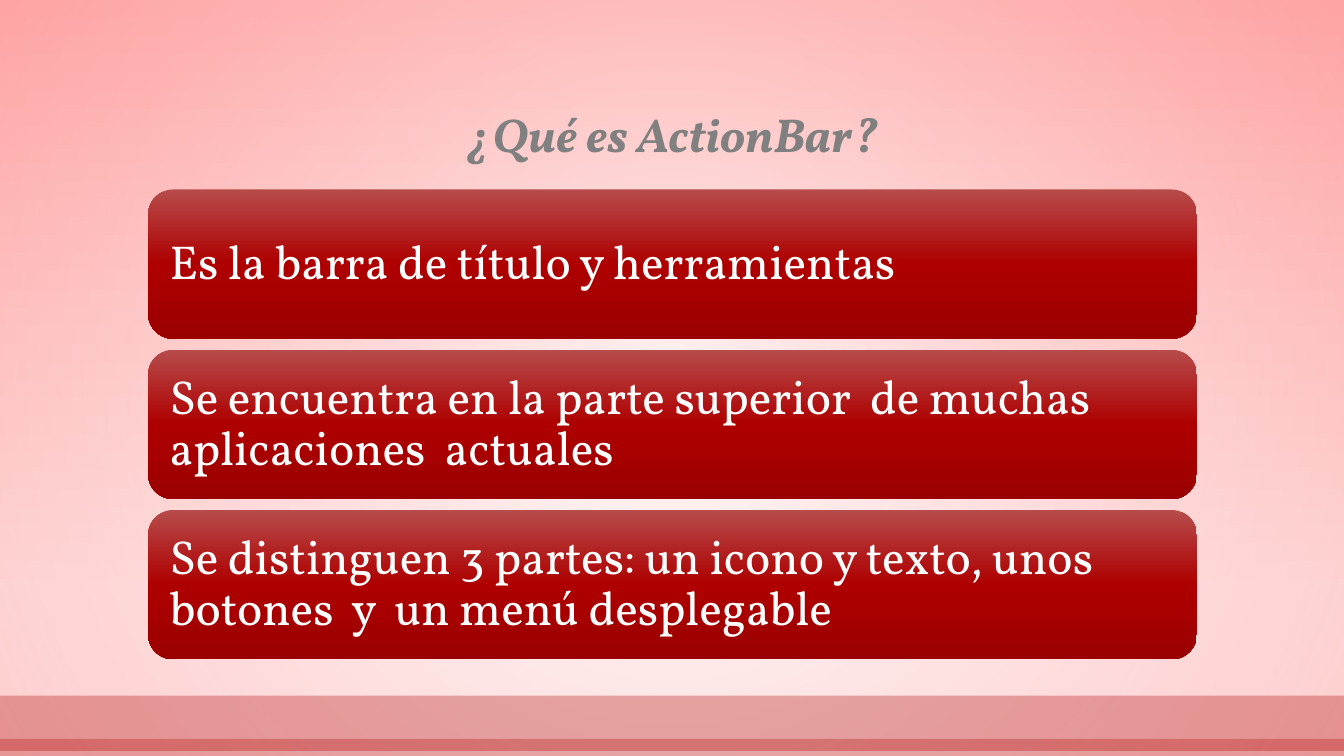
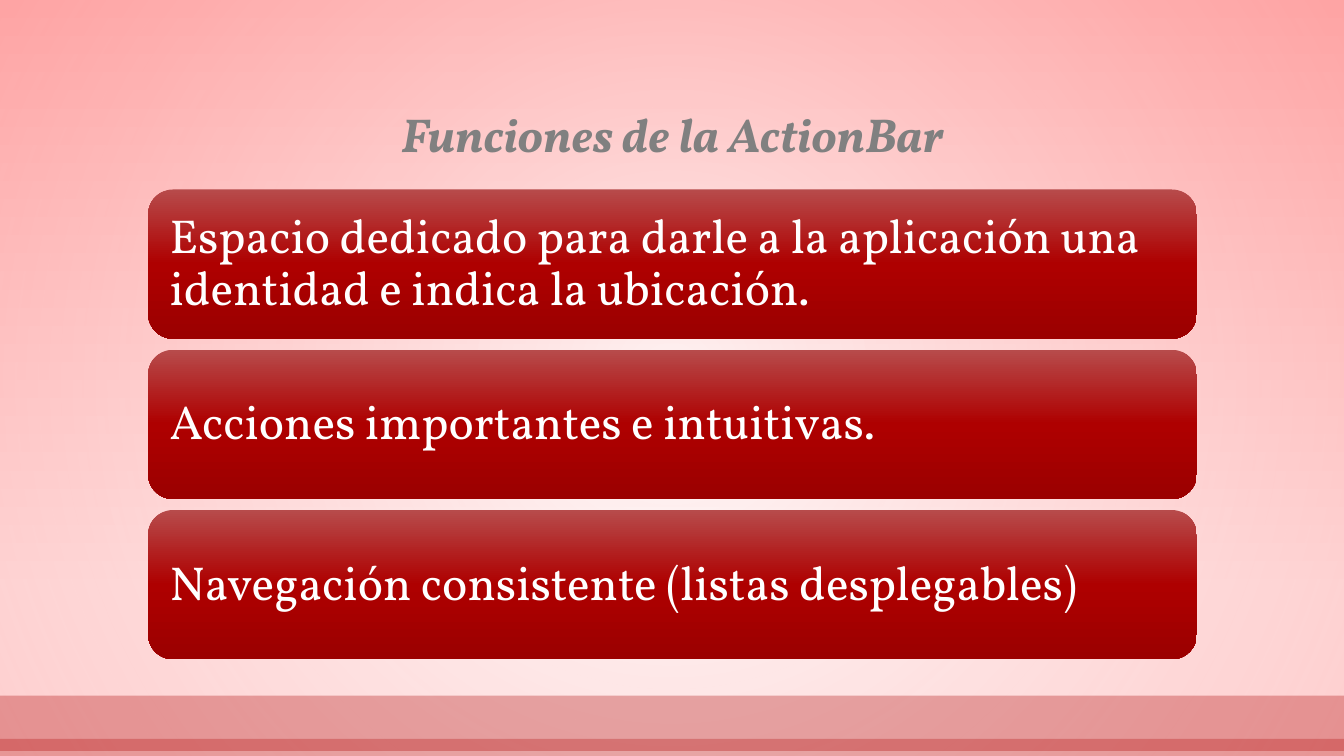
from dataclasses import dataclass

from pptx import Presentation
from pptx.dml.color import RGBColor
from pptx.enum.shapes import MSO_SHAPE as Preset
from pptx.enum.text import MSO_ANCHOR as Anchor, MSO_AUTO_SIZE as AutoSize, PP_ALIGN as Align
from pptx.oxml.ns import qn
from pptx.util import Inches, Pt
from lxml.etree import SubElement


@dataclass(frozen=True)
class Theme:
    font: str = "Vollkorn"
    text_size: int = 34
    title_color: str = "808080"
    card_text: str = "FFFFFF"
    band: str = "AD0101"
    background: tuple = ((0, "FFBCBC", 56), (79, "FFFFFF", 100))
    glow: tuple = ((0, "FFFFFF", 49), (100, "FE7979", 35))
    card: tuple = ((0, "B74B4B", 100), (50, "AE0000", 100), (100, "9B0000", 100))


WIDTH, HEIGHT = 13.33, 7.5
LEFT, CONTENT_WIDTH = 1.47, 10.4
CARD_TOP, CARD_HEIGHT, CARD_GAP = 1.88, 1.48, 0.11


def add_color(parent, color, opacity):
    element = SubElement(parent, qn("a:srgbClr"), val=color)
    if opacity < 100:
        SubElement(element, qn("a:alpha"), val=str(opacity * 1000))


def set_gradient(fill, properties, stops, radial=False):
    fill.solid()
    solid = properties.find(qn("a:solidFill"))
    gradient = SubElement(properties, qn("a:gradFill"), rotWithShape="1")
    properties.replace(solid, gradient)
    stop_list = SubElement(gradient, qn("a:gsLst"))
    for position, color, opacity in stops:
        stop = SubElement(stop_list, qn("a:gs"), pos=str(position * 1000))
        add_color(stop, color, opacity)
    if radial:
        circle = SubElement(gradient, qn("a:path"), path="circle")
        SubElement(circle, qn("a:fillToRect"), l="50000", t="50000", r="50000", b="50000")
    else:
        SubElement(gradient, qn("a:lin"), ang="5400000", scaled="0")


class Deck:
    def __init__(self, theme):
        self.theme = theme
        self.presentation = Presentation()
        self.presentation.slide_width = Inches(WIDTH)
        self.presentation.slide_height = Inches(HEIGHT)
        self.layout = self.presentation.slide_layouts[5]
        self.slide = None

    def add_slide(self, title):
        first = self.slide is None
        self.slide = self.presentation.slides.add_slide(self.layout)
        if first:
            self.decorate_layout()
        self.add_title(title)

    def decorate_layout(self):
        fill = self.layout.background.fill
        fill.solid()
        properties = self.layout.element.find(".//" + qn("p:bgPr"))
        set_gradient(fill, properties, self.theme.background)
        glow = self.add_box(Preset.RECTANGLE, 0, 0, WIDTH, HEIGHT)
        set_gradient(glow.fill, glow.element.spPr, self.theme.glow, radial=True)
        decorations = [glow, self.add_band(6.9, 0.55, 30), self.add_band(7.33, 0.17, 28)]
        front = self.layout.shapes[0].element
        for shape in decorations:
            front.addprevious(shape.element)

    def add_box(self, preset, left, top, width, height):
        shape = self.slide.shapes.add_shape(
            preset, Inches(left), Inches(top), Inches(width), Inches(height))
        shape.shadow.inherit = False
        shape.line.fill.background()
        return shape

    def add_band(self, top, height, opacity):
        shape = self.add_box(Preset.RECTANGLE, 0, top, WIDTH, height)
        shape.fill.solid()
        solid = shape.element.spPr.find(qn("a:solidFill"))
        add_color(solid, self.theme.band, opacity)
        return shape

    def set_text(self, shape, text, color, anchor, align, emphasis=False):
        frame = shape.text_frame
        frame.text = text
        frame.word_wrap = True
        frame.auto_size = AutoSize.NONE
        frame.vertical_anchor = anchor
        paragraph = frame.paragraphs[0]
        paragraph.alignment = align
        paragraph.line_spacing = 0.9
        font = paragraph.runs[0].font
        font.name = self.theme.font
        font.size = Pt(self.theme.text_size)
        font.color.rgb = RGBColor.from_string(color)
        font.bold = font.italic = emphasis

    def add_title(self, text):
        title = self.slide.shapes.title
        title.left, title.top = Inches(LEFT), Inches(0.48)
        title.width, title.height = Inches(CONTENT_WIDTH), Inches(1.19)
        self.set_text(title, text, self.theme.title_color, Anchor.BOTTOM, Align.CENTER, True)

    def add_card(self, top, text):
        card = self.add_box(Preset.ROUNDED_RECTANGLE, LEFT, top, CONTENT_WIDTH, CARD_HEIGHT)
        set_gradient(card.fill, card.element.spPr, self.theme.card)
        self.set_text(card, text, self.theme.card_text, Anchor.MIDDLE, Align.LEFT)
        frame = card.text_frame
        frame.margin_left = frame.margin_right = Inches(0.14)
        frame.margin_top = frame.margin_bottom = Inches(0.14)

    def add_cards(self, texts):
        for index, text in enumerate(texts):
            self.add_card(CARD_TOP + index * (CARD_HEIGHT + CARD_GAP), text)


SLIDES = {
    "¿Qué es ActionBar?": (
        "Es la barra de título y herramientas",
        "Se encuentra en la parte superior  de muchas  aplicaciones  actuales",
        "Se distinguen 3 partes: un icono y texto, unos botones  y  un menú desplegable",
    ),
    "Funciones de la ActionBar": (
        "Espacio dedicado para darle a la aplicación una identidad e indica la ubicación.",
        "Acciones importantes e intuitivas.",
        "Navegación consistente (listas desplegables)",
    ),
}


def main():
    deck = Deck(Theme())
    for title, cards in SLIDES.items():
        deck.add_slide(title)
        deck.add_cards(cards)
    deck.presentation.save("out.pptx")


if __name__ == "__main__":
    main()
